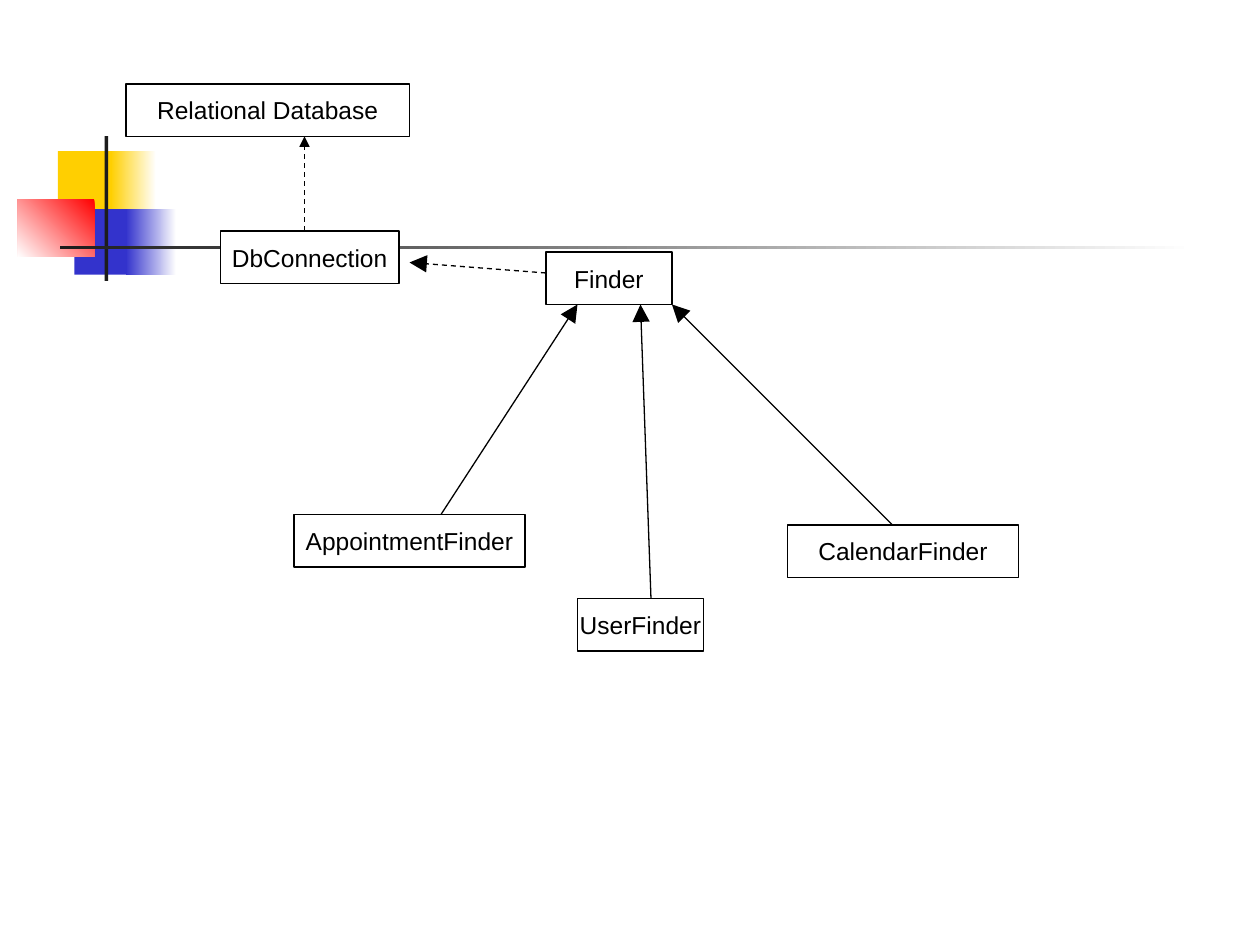
from lxml import etree
from pptx import Presentation, util as u
from pptx.dml.color import RGBColor
from pptx.enum import shapes, text
from pptx.enum.dml import MSO_LINE
from pptx.oxml.ns import qn

WIDE, HIGH = 10, 7.5
COLS, ROWS = 120, 90  # diagram grid over the whole slide

# Name: column, row, width (each box is 5 rows high)
NODES = {
    "CalendarFinder": (75, 50, 22),
    "Finder": (52, 24, 12),
    "AppointmentFinder": (28, 49, 22),
    "UserFinder": (55, 57, 12),
    "DbConnection": (21, 22, 17),
    "Relational Database": (12, 8, 27),
}
# Start, end, dashed, head size
LINKS = [
    ((42, 49), (55, 29), False, "lg"),
    ((62, 57), (61, 29), False, "lg"),
    ((85, 50), (64, 29), False, "lg"),
    ((52, 26), (39, 25), True, "lg"),
    ((29, 22), (29, 13), True, "med"),
]
# Left, top, width, height in inches inside the ornament; colours; angle
PARTS = [
    ((0.32, 0.12, 0.48, 0.52), ["FFCF01"], 0),
    ((0.74, 0.12, 0.36, 0.52), ["FFFFFF", "FFCF01"], 180),
    ((0.45, 0.58, 0.46, 0.52), ["3333CC"], 0),
    ((0.86, 0.58, 0.40, 0.52), ["FFFFFF", "3333CC"], 180),
    ((0, 0.50, 0.61, 0.46), ["FF0000", "FFFFFF"], 225),
    ((0.69, 0, 0.03, 1.15), ["1C1C1C"], 0),
    ((0.34, 0.87, 9, 0.03), ["FFFFFF", "1C1C1C"], 180),
]


def color(code):
    return RGBColor.from_string(code)


def block(slide, box, tints, angle=0):
    """Plain rectangle with a solid or two-colour fill."""
    rect = slide.shapes.add_shape(
        shapes.MSO_SHAPE.RECTANGLE, *[u.Inches(n) for n in box])
    rect.shadow.inherit = False
    rect.line.fill.background()
    if len(tints) == 1:
        rect.fill.solid()
        rect.fill.fore_color.rgb = color(tints[0])
    else:
        rect.fill.gradient()
        rect.fill.gradient_angle = angle
        for stop, tint in zip(rect.fill.gradient_stops, tints):
            stop.color.rgb = color(tint)
    return rect


def ornament(slide, left, top):
    """Coloured squares with the crossing rules."""
    for (x, y, wide, high), tints, angle in PARTS:
        block(slide, (left + x, top + y, wide, high), tints, angle)


def node(slide, name, box):
    """Labelled class box."""
    rect = block(slide, box, ["FFFFFF"])
    rect.line.color.rgb = color("000000")
    rect.line.width = u.Pt(0.75)
    frame = rect.text_frame
    frame.text = name
    frame.word_wrap = False
    frame.vertical_anchor = text.MSO_ANCHOR.MIDDLE
    para = frame.paragraphs[0]
    para.alignment = text.PP_ALIGN.CENTER
    font = para.runs[0].font
    font.name, font.size = "Arial", u.Pt(14)
    font.color.rgb = color("000000")


def arrow(slide, ends, dashed, size):
    """Straight line with a triangle at its end."""
    link = slide.shapes.add_connector(
        shapes.MSO_CONNECTOR.STRAIGHT, *[u.Inches(n) for n in ends])
    link.line.color.rgb = color("000000")
    link.line.width = u.Pt(0.75)
    if dashed:
        link.line.dash_style = MSO_LINE.DASH
    etree.SubElement(link.line._get_or_add_ln(), qn("a:tailEnd"),
                     type="triangle", w=size, len=size)
    etree.SubElement(link._element.spPr, qn("a:effectLst"))


def diagram(slide, left, top, wide, high):
    """Class boxes and their links on a grid."""
    col, row = wide / COLS, high / ROWS
    for name, (x, y, span) in NODES.items():
        node(slide, name, (left + x * col, top + y * row, span * col, 5 * row))
    for start, end, dashed, size in LINKS:
        ends = [n for x, y in (start, end)
                for n in (left + x * col, top + y * row)]
        arrow(slide, ends, dashed, size)


def main():
    deck = Presentation()
    deck.slide_width, deck.slide_height = u.Inches(WIDE), u.Inches(HIGH)
    slide = deck.slides.add_slide(deck.slide_layouts[6])
    ornament(slide, 0.14, 1.08)
    diagram(slide, 0, 0, WIDE, HIGH)
    deck.save("out.pptx")


if __name__ == "__main__":
    main()
